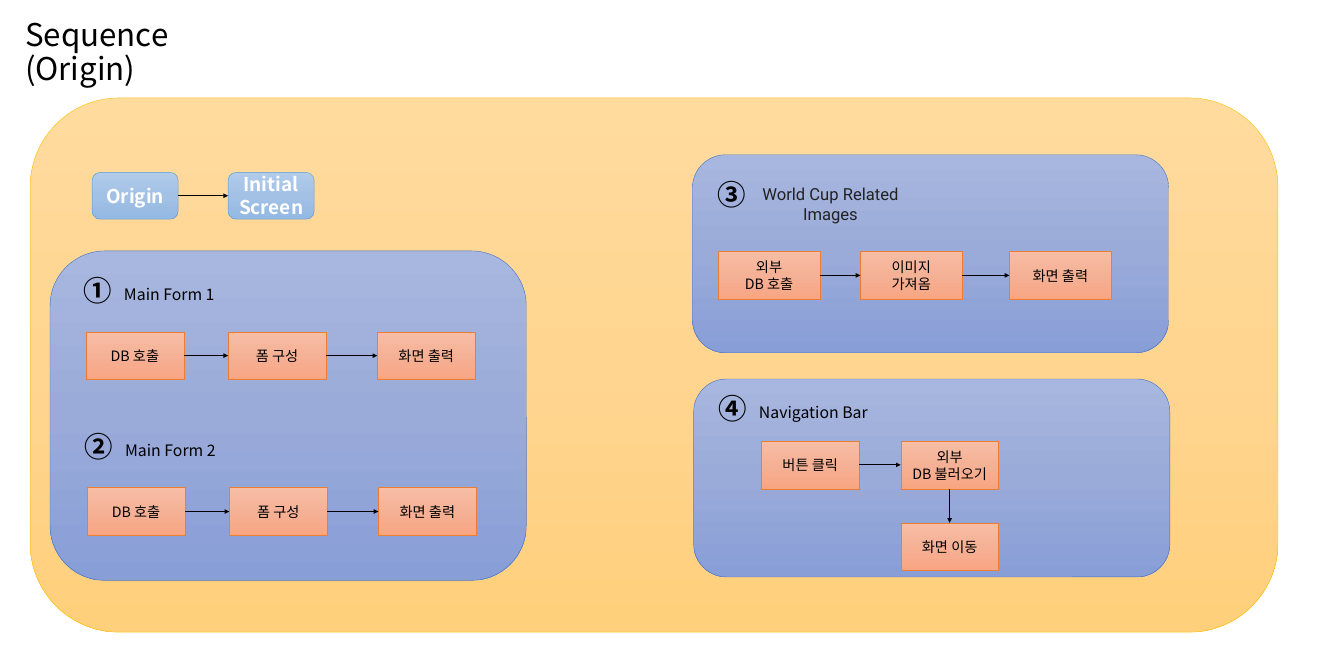
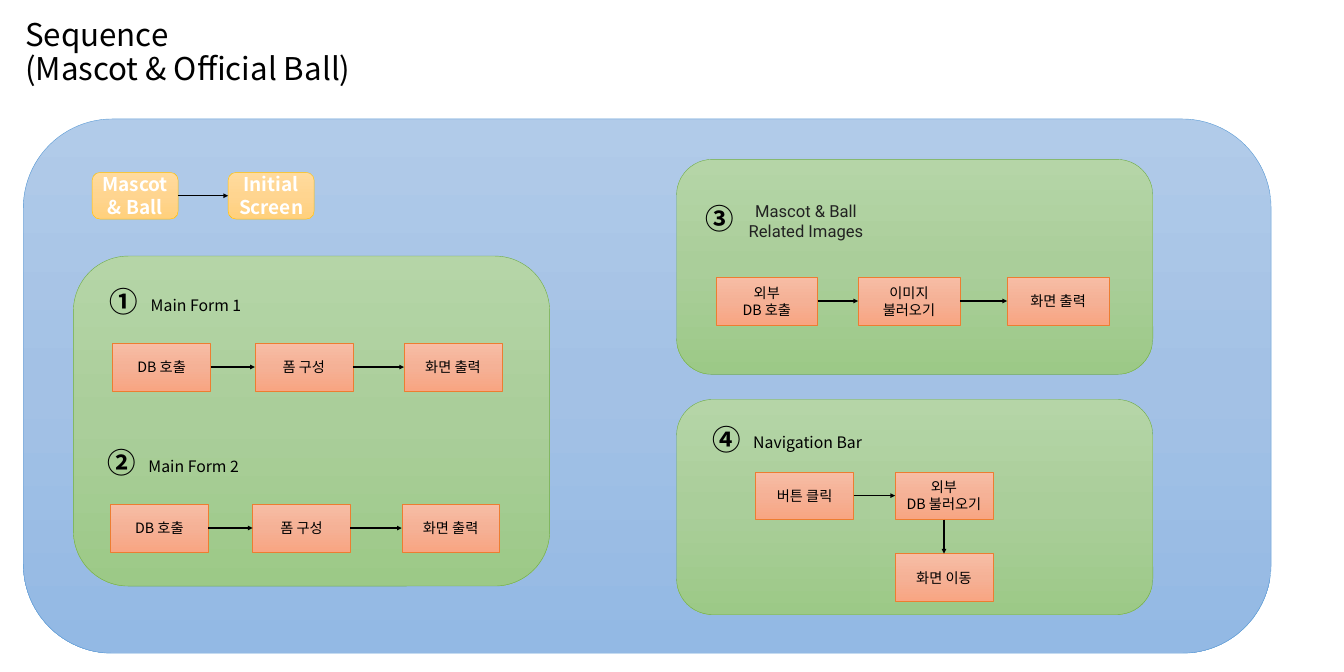
import copy

import pptx
import pptx.dml.color
import pptx.enum.shapes
import pptx.enum.text
import pptx.oxml
import pptx.oxml.ns
import pptx.util

PX = 9144  # 100 px to the inch
FONT = "Noto Sans CJK KR"
COLORS = {"ink": "000000", "caption": "222222", "white": "FFFFFF"}
# Each scheme: three gradient stops from top to bottom, then the outline
SCHEMES = {
    "gold": ("FFDB9E", "FFD590", "FFD07C", "FFC000"),
    "sky": ("B1CBE9", "A3C1E5", "93B9E4", "5B9BD5"),
    "indigo": ("A8B7DF", "9AABD9", "889ED7", "4472C4"),
    "green": ("B5D5A7", "AACE9A", "9CC987", "70AD47"),
    "orange": ("F7BDA5", "F5B196", "F8A582", "ED7D31"),
}
ROUNDED = pptx.enum.shapes.MSO_SHAPE.ROUNDED_RECTANGLE
RECTANGLE = pptx.enum.shapes.MSO_SHAPE.RECTANGLE
CENTER = pptx.enum.text.PP_ALIGN.CENTER
LEFT = pptx.enum.text.PP_ALIGN.LEFT
MIDDLE = pptx.enum.text.MSO_ANCHOR.MIDDLE
TOP, LEFT_SIDE, BOTTOM, RIGHT_SIDE = range(4)
STEP_OFFSETS = (0, 250, 512)
STEP_HEIGHT = 84


def rgb(value):
    return pptx.dml.color.RGBColor.from_string(value)


def drawing_element(tag, **attributes):
    element = pptx.oxml.parse_xml(f"<a:{tag} {pptx.oxml.ns.nsdecls('a')}/>")
    for name, value in attributes.items():
        element.set(name, value)
    return element


class Deck:
    def __init__(self, width, height):
        self.presentation = pptx.Presentation()
        self.presentation.slide_width = width * PX
        self.presentation.slide_height = height * PX
        self.slide = None

    def set_text(self, frame, text, size, color="ink", font=FONT, bold=False, align=CENTER):
        frame.text = text
        frame.word_wrap = True
        for paragraph in frame.paragraphs:
            paragraph.alignment = align
            for run in paragraph.runs:
                run.font.size = pptx.util.Pt(size)
                run.font.bold = bold
                run.font.color.rgb = rgb(COLORS[color])
                run.font.name = font
                # Korean letters and circled digits use the East Asian font
                run.font._element.append(drawing_element("ea", typeface=font))

    def start(self, heading):
        layout = self.presentation.slide_layouts[5]
        self.slide = self.presentation.slides.add_slide(layout)
        title = self.slide.shapes.title
        title.left, title.top, title.width, title.height = (
            length * PX for length in (34, 22, 662, 143))
        self.set_text(title.text_frame, heading, 39.6, align=LEFT)
        title.text_frame.auto_size = pptx.enum.text.MSO_AUTO_SIZE.NONE
        title.text_frame.vertical_anchor = MIDDLE
        title.text_frame.paragraphs[0].line_spacing = 0.9

    def block(self, box, scheme, preset=ROUNDED, text="", size=18, color="ink", bold=False):
        *stops, outline = SCHEMES[scheme]
        shape = self.slide.shapes.add_shape(preset, *(length * PX for length in box))
        shape.shadow.inherit = False
        shape.fill.gradient()
        shape.fill.gradient_angle = 270
        stop_list = shape._element.spPr.find(".//" + pptx.oxml.ns.qn("a:gsLst"))
        stop_list.append(copy.deepcopy(stop_list[-1]))
        for index, stop in enumerate(shape.fill.gradient_stops):
            stop.position = index / 2
            stop.color.rgb = rgb(stops[index])
        shape.line.color.rgb = rgb(outline)
        shape.line.width = pptx.util.Pt(0.5)
        if text:
            self.set_text(shape.text_frame, text, size, color, bold=bold)
            shape.text_frame.vertical_anchor = MIDDLE
        return shape

    def step(self, x, y, text, width=172):
        return self.block((x, y, width, STEP_HEIGHT), "orange", RECTANGLE, text)

    def arrow(self, source, target, start=RIGHT_SIDE, end=LEFT_SIDE):
        connector = self.slide.shapes.add_connector(
            pptx.enum.shapes.MSO_CONNECTOR.STRAIGHT, 0, 0, 0, 0)
        connector.begin_connect(source, start)
        connector.end_connect(target, end)
        connector.line.color.rgb = rgb(COLORS["ink"])
        connector.line.width = pptx.util.Pt(1.5)
        connector.line._get_or_add_ln().append(drawing_element("tailEnd", type="triangle"))
        connector._element.spPr.append(drawing_element("effectLst"))

    def chain(self, x, y, texts, width=172):
        steps = [self.step(x + offset, y, text, width)
                 for offset, text in zip(STEP_OFFSETS, texts)]
        for source, target in zip(steps, steps[1:]):
            self.arrow(source, target)

    def number(self, x, y, digit):
        box = self.slide.shapes.add_textbox(x * PX, y * PX, 96 * PX, 61 * PX)
        frame = box.text_frame
        frame.margin_left = frame.margin_top = frame.margin_right = frame.margin_bottom = 0
        self.set_text(frame, digit, 36, bold=True, align=LEFT)

    def label(self, box, text, size=20, color="ink", font=FONT):
        caption = self.slide.shapes.add_textbox(*(length * PX for length in box))
        self.set_text(caption.text_frame, text, size, color, font)

    # Numbered sections
    def main_form(self, x, y, digit, name):
        self.number(x - 5, y - 103, digit)
        self.label((x + 41, y - 88, 211, 44), name)
        self.chain(x, y, ("DB 호출", "폼 구성", "화면 출력"))

    def related_images(self, x, y, number_at, label_at, name, fetch):
        self.number(*number_at, "③")
        self.label((*label_at, 285, 81), name, 21, "caption", "Roboto")
        self.chain(x, y, ("외부\nDB 호출", fetch, "화면 출력"), 179)

    def navigation_bar(self, x, y):
        self.number(x - 75, y - 87, "④")
        self.label((x - 25, y - 73, 233, 44), "Navigation Bar")
        load = self.step(x + 245, y, "외부\nDB 불러오기")
        self.arrow(self.step(x, y, "버튼 클릭"), load)
        move = self.step(x + 245, y + 144, "화면 이동")
        self.arrow(load, move, BOTTOM, TOP)

    def entry(self, scheme, name):
        origin, initial = (
            self.block((x, 303, 151, 82), scheme, text=text, size=24, color="white", bold=True)
            for x, text in ((162, name), (401, "Initial\nScreen")))
        self.arrow(origin, initial)


SEQUENCES = (
    {
        "heading": "Sequence\v(Origin)",
        "backdrop": ((53, 172, 2193, 939), "gold"),
        "entry": ("sky", "Origin"),
        "panel_scheme": "indigo",
        "panels": ((1217, 272, 837, 348), (1219, 666, 837, 348), (88, 441, 837, 579)),
        "forms": ((151, 583), (153, 857)),
        "images": (1262, 442, (1261, 312), (1317, 319),
                   "World Cup Related Images", "이미지\n가져옴"),
        "navigation": (1338, 775),
    },
    {
        "heading": "Sequence\v(Mascot & Official Ball)",
        "backdrop": ((41, 209, 2193, 939), "sky"),
        "entry": ("gold", "Mascot\n& Ball"),
        "panel_scheme": "green",
        "panels": ((1189, 280, 837, 378), (1189, 702, 837, 378), (129, 450, 837, 580)),
        "forms": ((198, 603), (194, 886)),
        "images": (1258, 487, (1240, 353), (1274, 348),
                   "Mascot & Ball Related Images", "이미지\n불러오기"),
        "navigation": (1328, 829),
    },
)


def main():
    deck = Deck(2362, 1181)
    for sequence in SEQUENCES:
        deck.start(sequence["heading"])
        # Backdrop, entry point and section panels
        deck.block(*sequence["backdrop"])
        deck.entry(*sequence["entry"])
        for panel in sequence["panels"]:
            deck.block(panel, sequence["panel_scheme"])
        # Section contents
        for index, (x, y) in enumerate(sequence["forms"]):
            deck.main_form(x, y, "①②"[index], f"Main Form {index + 1}")
        deck.related_images(*sequence["images"])
        deck.navigation_bar(*sequence["navigation"])
    deck.presentation.save("out.pptx")


if __name__ == "__main__":
    main()
